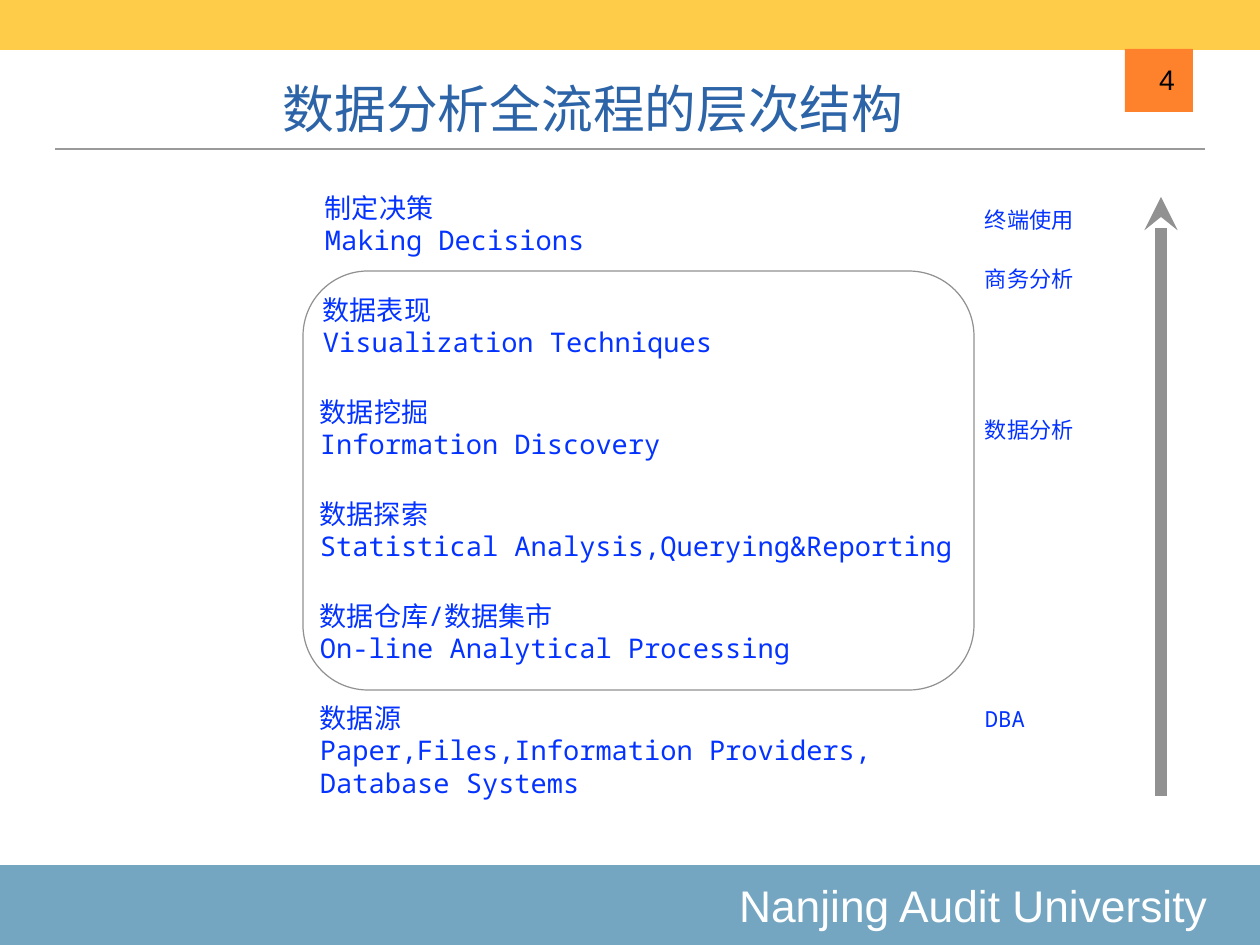
from lxml.etree import SubElement
from pptx import Presentation
from pptx.dml.color import RGBColor
from pptx.enum.shapes import MSO_CONNECTOR, MSO_SHAPE
from pptx.enum.text import MSO_ANCHOR, PP_ALIGN
from pptx.oxml.ns import qn
from pptx.util import Pt

PX = 10320  # EMU per pixel
SLIDE_WIDTH, SLIDE_HEIGHT = 1260, 945
INSET = 5
COLORS = {
    "header": "FECC49", "number": "FE812C", "footer": "74A6C2",
    "title": "2C64A7", "body": "0433FF", "rule": "9A9A9A",
    "outline": "919191", "white": "FFFFFF", "black": "000000",
}
SANS, MONO = "Arial", "Noto Sans Mono"

TITLE = "数据分析全流程的层次结构"
FOOTER = "Nanjing Audit University"
PAGE_NUMBER = "4"
# left, width, Chinese name, English name
STAGES = [
    (320, 377, "制定决策", "Making Decisions"),
    (318, 456, "数据表现", "Visualization Techniques"),
    (315, 437, "数据挖掘", "Information Discovery"),
    (315, 672, "数据探索", "Statistical Analysis,Querying&Reporting"),
    (315, 514, "数据仓库/数据集市", "On-line Analytical Processing"),
    (315, 580, "数据源", "Paper,Files,Information Providers, Database Systems"),
]
STAGE_TOP, STAGE_PITCH, STAGE_HEIGHT = 186, 102, 82
# top, role
ROLES = [(201, "终端使用"), (260, "商务分析"), (411, "数据分析"), (700, "DBA")]
ROLE_LEFT, ROLE_WIDTH, ROLE_HEIGHT = 980, 252, 41


def color(name):
    return RGBColor.from_string(COLORS[name])


def emu(*lengths):
    return [length * PX for length in lengths]


def write(shape, text, size, font, color_name, align=PP_ALIGN.LEFT,
          anchor=MSO_ANCHOR.TOP, wrap=True, right_inset=INSET):
    frame = shape.text_frame
    frame.text = text
    frame.word_wrap = wrap
    frame.vertical_anchor = anchor
    frame.margin_left = frame.margin_top = frame.margin_bottom = INSET * PX
    frame.margin_right = right_inset * PX
    for paragraph in frame.paragraphs:
        paragraph.alignment = align
        for run in paragraph.runs:
            run.font.size = Pt(size)
            run.font.name = font
            run.font.color.rgb = color(color_name)


def add_text(slide, box, *content, **layout):
    write(slide.shapes.add_textbox(*emu(*box)), *content, **layout)


def add_block(slide, box, fill):
    block = slide.shapes.add_shape(MSO_SHAPE.RECTANGLE, *emu(*box))
    block.shadow.inherit = False
    block.fill.solid()
    block.fill.fore_color.rgb = color(fill)
    block.line.fill.background()
    return block


def add_line(slide, ends, color_name, width):
    line = slide.shapes.add_connector(MSO_CONNECTOR.STRAIGHT, *emu(*ends))
    line.line.color.rgb = color(color_name)
    line.line.width = Pt(width)
    SubElement(line._element.spPr, qn("a:effectLst"))
    return line


def main():
    presentation = Presentation()
    presentation.slide_width, presentation.slide_height = emu(SLIDE_WIDTH, SLIDE_HEIGHT)
    slide = presentation.slides.add_slide(presentation.slide_layouts[6])

    add_line(slide, (55, 149, 1205, 149), "rule", 1)
    footer = add_block(slide, (0, 865, SLIDE_WIDTH, 80), "footer")
    write(footer, FOOTER, 36, SANS, "white", align=PP_ALIGN.RIGHT,
          anchor=MSO_ANCHOR.MIDDLE, right_inset=53)
    add_block(slide, (0, 0, SLIDE_WIDTH, 50), "header")
    add_block(slide, (1125, 49, 68, 63), "number")

    add_text(slide, (74, 55, 1038, 89), TITLE, 42, SANS, "title",
             align=PP_ALIGN.CENTER, anchor=MSO_ANCHOR.BOTTOM)
    add_text(slide, (1153, 58, 27, 43), PAGE_NUMBER, 23, SANS, "black",
             align=PP_ALIGN.RIGHT, anchor=MSO_ANCHOR.BOTTOM, wrap=False)

    for index, (left, width, chinese, english) in enumerate(STAGES):
        top = STAGE_TOP + index * STAGE_PITCH
        add_text(slide, (left, top, width, STAGE_HEIGHT),
                 f"{chinese}\n{english}", 22, MONO, "body")
    for top, role in ROLES:
        add_text(slide, (ROLE_LEFT, top, ROLE_WIDTH, ROLE_HEIGHT), role, 18, MONO, "body")

    arrow = add_line(slide, (1161, 796, 1161, 197), "outline", 9)
    SubElement(arrow.line._get_or_add_ln(), qn("a:tailEnd"), type="stealth")

    group_frame = slide.shapes.add_shape(
        MSO_SHAPE.ROUNDED_RECTANGLE, *emu(303, 271, 671, 419))
    group_frame.adjustments[0] = 0.155
    group_frame.shadow.inherit = False
    group_frame.fill.background()
    group_frame.line.color.rgb = color("outline")
    group_frame.line.width = Pt(1)

    presentation.save("out.pptx")


if __name__ == "__main__":
    main()
